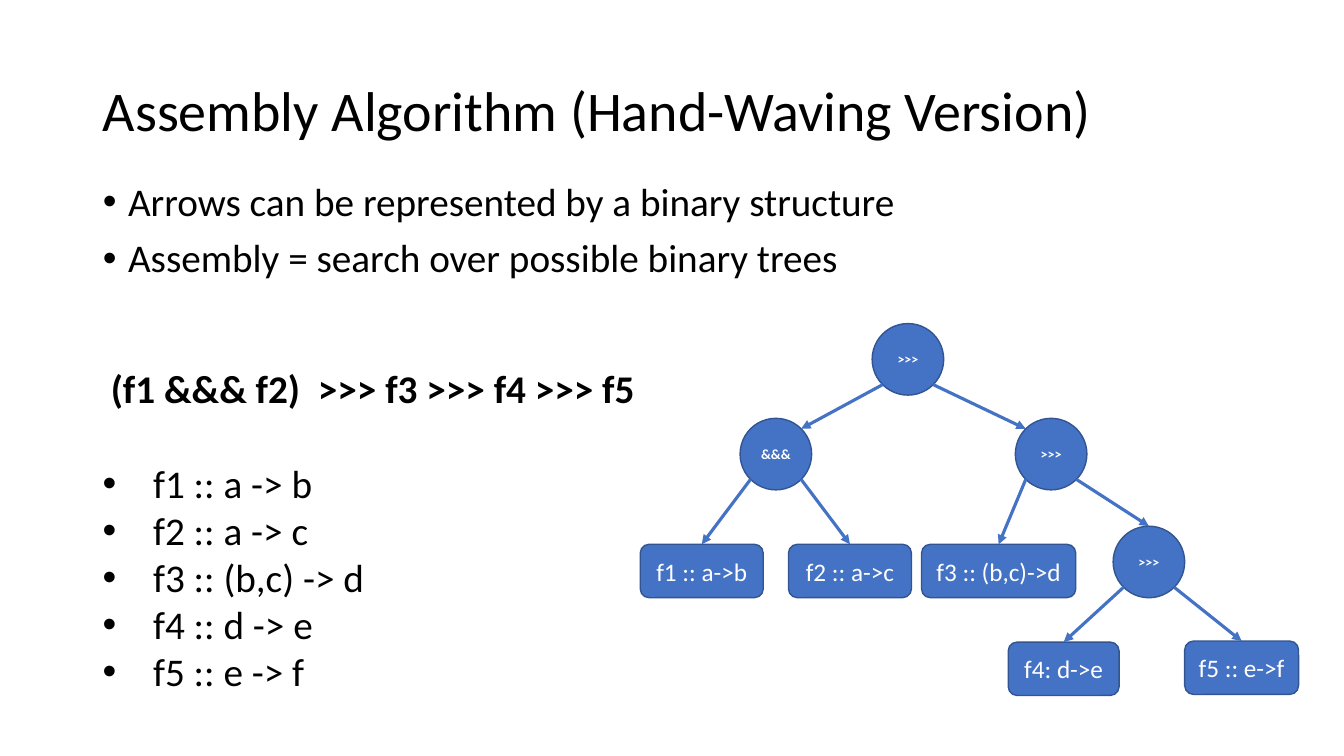
import math

import pptx
import pptx.dml.color
import pptx.enum.shapes
import pptx.enum.text
import pptx.oxml
import pptx.oxml.ns
import pptx.util
from pptx.util import Inches

SHAPES = pptx.enum.shapes.MSO_SHAPE
ANCHOR = pptx.enum.text.MSO_ANCHOR
ALIGN = pptx.enum.text.PP_ALIGN
DRAWING = pptx.oxml.ns.nsdecls("a")


def color(value):
    return pptx.dml.color.RGBColor.from_string(value)


def add_bullet(para, indent):
    properties = para._p.get_or_add_pPr()
    properties.set("marL", str(Inches(indent)))
    properties.set("indent", str(-Inches(indent)))
    for element in (
        f'<a:buFont {DRAWING} typeface="Arial"/>',
        f'<a:buChar {DRAWING} char="•"/>',
    ):
        properties.append(pptx.oxml.parse_xml(element))


def write_text(frame, lines, size=28, ink="000000", bold=False, align=ALIGN.LEFT,
               anchor=ANCHOR.TOP, indent=None, line_spacing=1.0, space_before=0):
    frame.word_wrap = True
    frame.auto_size = pptx.enum.text.MSO_AUTO_SIZE.NONE
    frame.vertical_anchor = anchor
    for index, line in enumerate(lines):
        para = frame.paragraphs[0] if index == 0 else frame.add_paragraph()
        para.alignment = align
        para.line_spacing = line_spacing
        para.space_before = pptx.util.Pt(space_before)
        if indent:
            add_bullet(para, indent)
        span = para.add_run()
        span.text = line
        span.font.name = "Calibri"
        span.font.size = pptx.util.Pt(size)
        span.font.bold = bold
        span.font.color.rgb = color(ink)


class SlideBuilder:
    fill = "4472C4"
    outline = "325491"
    light = "FFFFFF"

    def __init__(self, page):
        self.page = page

    def placeholder(self, index, left, top, width, height, lines, **style):
        box = self.page.placeholders[index]
        box.left, box.top = Inches(left), Inches(top)
        box.width, box.height = Inches(width), Inches(height)
        write_text(box.text_frame, lines, **style)

    def text(self, left, top, width, height, lines, **style):
        box = self.page.shapes.add_textbox(
            Inches(left), Inches(top), Inches(width), Inches(height))
        write_text(box.text_frame, lines, **style)

    def node(self, preset, left, top, width, height, label, **style):
        shape = self.page.shapes.add_shape(
            preset, Inches(left), Inches(top), Inches(width), Inches(height))
        shape.shadow.inherit = False
        shape.fill.solid()
        shape.fill.fore_color.rgb = color(self.fill)
        shape.line.color.rgb = color(self.outline)
        shape.line.width = pptx.util.Pt(1)
        write_text(shape.text_frame, [label], ink=self.light,
                   align=ALIGN.CENTER, anchor=ANCHOR.MIDDLE, **style)

    def arrow(self, start, end):
        line = self.page.shapes.add_connector(
            pptx.enum.shapes.MSO_CONNECTOR.STRAIGHT,
            *(Inches(value) for value in (*start, *end)))
        line.line.color.rgb = color(self.fill)
        line.line.width = pptx.util.Pt(2.25)
        line.line._get_or_add_ln().append(
            pptx.oxml.parse_xml(f'<a:tailEnd {DRAWING} type="triangle"/>'))
        line._element.spPr.append(pptx.oxml.parse_xml(f"<a:effectLst {DRAWING}/>"))


DIAMETER = 0.71
LEAF_HEIGHT = 0.53
RADIUS = DIAMETER / 2
DIAGONAL = RADIUS * math.sqrt(0.5)

operators = {
    "root": (8.65, 3.21, ">>>"),
    "right": (10.07, 4.15, ">>>"),
    "left": (7.34, 4.15, "&&&"),
    "last": (11.04, 5.22, ">>>"),
}
leaves = {
    "f1": (6.35, 5.4, 1.22, "f1 :: a->b"),
    "f2": (7.82, 5.4, 1.22, "f2 :: a->c"),
    "f3": (9.14, 5.4, 1.53, "f3 :: (b,c)->d"),
    "f4": (10, 6.37, 1.1, "f4: d->e"),
    "f5": (11.75, 6.36, 1.13, "f5 :: e->f"),
}
branches = {
    "root": ("left", "right"),
    "left": ("f1", "f2"),
    "right": ("f3", "last"),
    "last": ("f4", "f5"),
}


def circle_corner(name, horizontal, vertical):
    left, top, label = operators[name]
    return (left + RADIUS + horizontal * DIAGONAL,
            top + RADIUS + vertical * DIAGONAL)


def top_center(name):
    if name in operators:
        left, top, label = operators[name]
        return left + RADIUS, top
    left, top, width, label = leaves[name]
    return left + width / 2, top


deck = pptx.Presentation()
deck.slide_width, deck.slide_height = Inches(13.33), Inches(7.5)
builder = SlideBuilder(deck.slides.add_slide(deck.slide_layouts[1]))

builder.placeholder(0, 0.92, 0.4, 11.5, 1.45,
                    ["Assembly Algorithm (Hand-Waving Version)"],
                    size=40, anchor=ANCHOR.MIDDLE, line_spacing=0.9)
builder.placeholder(1, 0.92, 1.76, 11.5, 4.76,
                    ["Arrows can be represented by a binary structure",
                     "Assembly = search over possible binary trees"],
                    indent=0.25, line_spacing=0.9, space_before=10)

for left, top, label in operators.values():
    builder.node(SHAPES.OVAL, left, top, DIAMETER, DIAMETER, label, size=10, bold=True)
for left, top, width, label in leaves.values():
    builder.node(SHAPES.ROUNDED_RECTANGLE, left, top, width, LEAF_HEIGHT, label, size=18)
for parent, children in branches.items():
    for side, child in zip((-1, 1), children):
        end = circle_corner(child, -side, -1) if parent == "root" else top_center(child)
        builder.arrow(circle_corner(parent, side, 1), end)

builder.text(0.92, 4.51, 3.84, 2.46,
             ["f1 :: a -> b", "f2 :: a -> c", "f3 :: (b,c) -> d",
              "f4 :: d -> e", "f5 :: e -> f"], indent=0.5)
builder.text(1, 3.57, 5.81, 0.57, ["(f1 &&& f2)  >>> f3 >>> f4 >>> f5"], bold=True)

deck.save("out.pptx")
